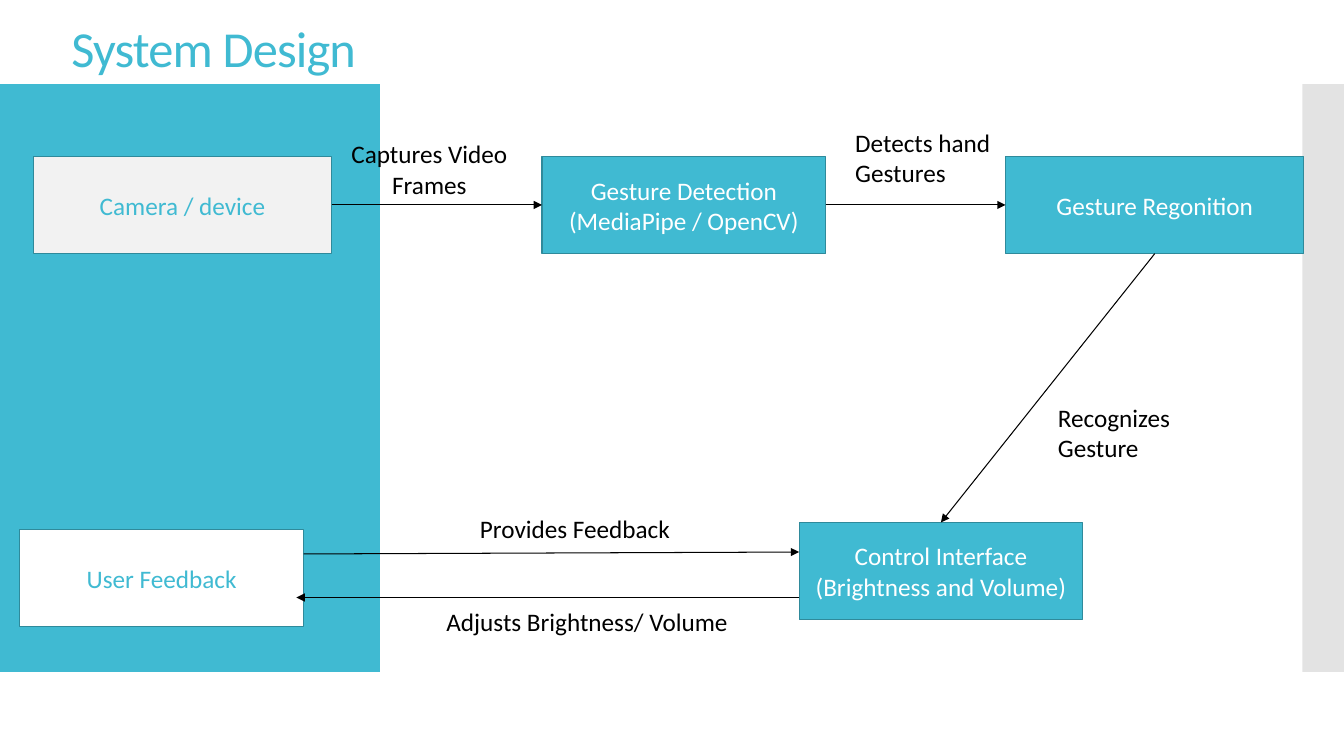
from dataclasses import dataclass

from lxml import etree
from pptx import Presentation
from pptx.dml.color import RGBColor
from pptx.enum.shapes import MSO_CONNECTOR, MSO_SHAPE
from pptx.enum.text import MSO_ANCHOR, PP_ALIGN
from pptx.oxml.ns import qn
from pptx.util import Pt

RECT = MSO_SHAPE.RECTANGLE
STRAIGHT = MSO_CONNECTOR.STRAIGHT
TOP, MIDDLE = MSO_ANCHOR.TOP, MSO_ANCHOR.MIDDLE
LEFT, CENTER = PP_ALIGN.LEFT, PP_ALIGN.CENTER

TEAL, EDGE, WHITE, BLACK = "40BAD2", "2F8A9B", "FFFFFF", "000000"
BOX_H = 69.4
WIDE, NARROW = 213.1, 202.6
TOP_ROW = 111.8
TOP_FLOW = 146.4


@dataclass
class Box:
    lines: list[str]
    x: float
    y: float
    w: float
    fill: str = TEAL
    color: str = WHITE


@dataclass
class Label:
    text: str
    x: float
    y: float
    w: float
    h: float
    align: PP_ALIGN = LEFT


@dataclass
class Arrow:
    x1: float
    y1: float
    x2: float
    y2: float


CAMERA = Box(["Camera / device"], 23.8, TOP_ROW, WIDE, "F2F2F2", TEAL)
DETECTION = Box(["Gesture Detection", "(MediaPipe / OpenCV)"], 387.2, TOP_ROW, NARROW)
RECOGNITION = Box(["Gesture Regonition"], 718.3, TOP_ROW, WIDE)
CONTROL = Box(["Control Interface", "(Brightness and Volume)"], 570.8, 373.2, NARROW)
FEEDBACK = Box(["User Feedback"], 14.2, 378.2, NARROW, WHITE, TEAL)
BOXES = [RECOGNITION, CAMERA, DETECTION, CONTROL, FEEDBACK]

ARROWS = [
    Arrow(CAMERA.x + CAMERA.w, TOP_FLOW, DETECTION.x, TOP_FLOW),
    Arrow(DETECTION.x + DETECTION.w, TOP_FLOW, RECOGNITION.x, TOP_FLOW),
    Arrow(RECOGNITION.x + WIDE / 2, TOP_ROW + BOX_H, CONTROL.x + NARROW / 2, CONTROL.y),
    Arrow(FEEDBACK.x + FEEDBACK.w, 395.7, CONTROL.x, 394.3),
    Arrow(CONTROL.x, 426.8, 211.8, 426.8),
]

LABELS = [
    Label("Captures Video Frames", 241.2, 95.6, 131, 50.9, CENTER),
    Label("Detects hand Gestures", 603.8, 87.4, 126, 50.9),
    Label("Recognizes Gesture", 748.6, 284, 141, 50.9),
    Label("Adjusts Brightness/ Volume", 311.8, 429.3, 280, 29.1),
    Label("Provides Feedback", 277.2, 363.2, 267, 29.1, CENTER),
]


def rgb(color: str) -> RGBColor:
    return RGBColor.from_string(color)


def set_attrs(obj, values: dict) -> None:
    for name, value in values.items():
        setattr(obj, name, value)


def write(sp, lines: list[str], color: str, align: PP_ALIGN,
          anchor: MSO_ANCHOR, size: float = 18) -> None:
    tf = sp.text_frame
    set_attrs(tf, {"word_wrap": True, "vertical_anchor": anchor})
    for i, line in enumerate(lines):
        p = tf.add_paragraph() if i else tf.paragraphs[0]
        p.alignment = align
        r = p.add_run()
        r.text = line
        set_attrs(r.font, {"name": "Calibri", "size": Pt(size)})
        r.font.color.rgb = rgb(color)


def add_rect(slide, x: float, y: float, w: float, h: float, fill: str):
    sp = slide.shapes.add_shape(RECT, Pt(x), Pt(y), Pt(w), Pt(h))
    sp.shadow.inherit = False
    sp.fill.solid()
    sp.fill.fore_color.rgb = rgb(fill)
    sp.line.fill.background()
    return sp


def add_text(slide, x: float, y: float, w: float, h: float):
    return slide.shapes.add_textbox(Pt(x), Pt(y), Pt(w), Pt(h))


def add_box(slide, box: Box) -> None:
    sp = add_rect(slide, box.x, box.y, box.w, BOX_H, box.fill)
    sp.line.color.rgb = rgb(EDGE)
    sp.line.width = Pt(0.85)
    write(sp, box.lines, box.color, CENTER, MIDDLE)


def add_label(slide, label: Label) -> None:
    sp = add_text(slide, label.x, label.y, label.w, label.h)
    write(sp, [label.text], BLACK, label.align, TOP)


def add_arrow(slide, a: Arrow) -> None:
    cxn = slide.shapes.add_connector(STRAIGHT, Pt(a.x1), Pt(a.y1), Pt(a.x2), Pt(a.y2))
    cxn.line.color.rgb = rgb(BLACK)
    cxn.line.width = Pt(0.75)
    etree.SubElement(cxn.line._get_or_add_ln(), qn("a:tailEnd"), type="triangle")
    etree.SubElement(cxn._element.spPr, qn("a:effectLst"))


def add_title(slide) -> None:
    sp = add_text(slide, 43.9, -5, 828, 82.8)
    write(sp, ["System Design"], TEAL, LEFT, MIDDLE, 36)
    p = sp.text_frame.paragraphs[0]
    p.line_spacing = 0.9
    p.runs[0].font._element.set("spc", "-60")


def main() -> None:
    prs = Presentation()
    set_attrs(prs, {"slide_width": Pt(960), "slide_height": Pt(540)})
    slide = prs.slides.add_slide(prs.slide_layouts[6])

    add_rect(slide, 0, 60, 271.4, 420, TEAL)
    side_bar = add_rect(slide, 930.2, 60, 29.8, 420, "C8C8C8")
    fill_color = side_bar._element.spPr.find(".//" + qn("a:srgbClr"))
    etree.SubElement(fill_color, qn("a:alpha"), val="50000")

    add_title(slide)
    for box in BOXES:
        add_box(slide, box)
    for arrow in ARROWS:
        add_arrow(slide, arrow)
    for label in LABELS:
        add_label(slide, label)
    prs.save("out.pptx")


if __name__ == "__main__":
    main()
